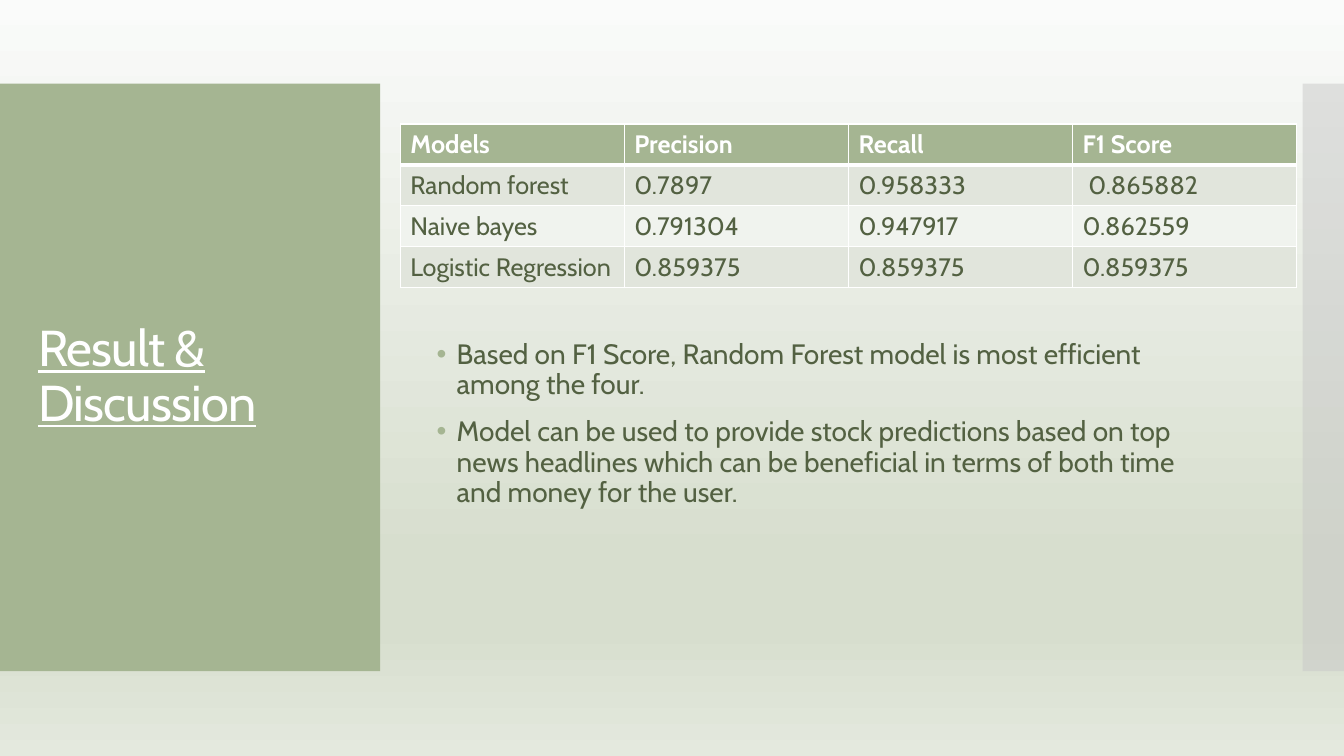
from dataclasses import dataclass
from pptx import Presentation
from pptx.dml.color import RGBColor
from pptx.enum.shapes import MSO_SHAPE
from pptx.enum.text import MSO_ANCHOR, MSO_AUTO_SIZE, PP_ALIGN
from pptx.oxml import parse_xml
from pptx.oxml.ns import nsdecls, qn
from pptx.util import Inches, Pt
from lxml.etree import SubElement


@dataclass(frozen=True)
class Theme:
    font: str = "Cabin"
    green: str = "A5B592"
    gray: str = "C8C8C8"
    white: str = "FFFFFF"
    ink: str = "536142"
    bands: tuple = ("E1E5DC", "F0F3EE")
    backdrop: tuple = ((0, "FAFBFA"), (74, "D7DECE"), (83, "D7DECE"), (100, "E4E9DE"))
    title_size: int = 36
    body_size: int = 20
    table_size: int = 18


THEME = Theme()

SCORES = [
    ("Models", "Precision", "Recall", "F1 Score"),
    ("Random forest", "0.7897", "0.958333", " 0.865882"),
    ("Naive bayes", "0.791304", "0.947917", "0.862559"),
    ("Logistic Regression", "0.859375", "0.859375", "0.859375"),
]

FINDINGS = [
    "Based on F1 Score, Random Forest model is most efficient among the four.",
    "Model can be used to provide stock predictions based on top news headlines "
    "which can be beneficial in terms of both time and money for the user.",
]


def paint_background(page):
    stops = "".join(
        f'<a:gs pos="{percent * 1000}"><a:srgbClr val="{color}"/></a:gs>'
        for percent, color in THEME.backdrop
    )
    page.element.cSld.insert(0, parse_xml(
        f'<p:bg {nsdecls("p", "a")}><p:bgPr><a:gradFill rotWithShape="1">'
        f'<a:gsLst>{stops}</a:gsLst><a:lin ang="5400000" scaled="0"/></a:gradFill>'
        '<a:effectLst/></p:bgPr></p:bg>'
    ))


def place(box, left, top, width, height):
    box.left, box.top = Inches(left), Inches(top)
    box.width, box.height = Inches(width), Inches(height)


def add_panel(page, left, width, color, opacity=100):
    panel = page.shapes.add_shape(
        MSO_SHAPE.RECTANGLE, Inches(left), Inches(0.83), Inches(width), Inches(5.83)
    )
    panel.shadow.inherit = False
    panel.fill.solid()
    panel.fill.fore_color.rgb = RGBColor.from_string(color)
    panel.line.fill.background()
    if opacity < 100:
        tint = panel.element.spPr.find(f'{qn("a:solidFill")}/{qn("a:srgbClr")}')
        SubElement(tint, qn("a:alpha"), val=str(opacity * 1000))
    page.shapes.element.insert(2, panel.element)


def add_span(para, text, size, color, bold=False, underline=False):
    span = para.add_run()
    span.text = text
    span.font.name = THEME.font
    span.font.size = Pt(size)
    span.font.color.rgb = RGBColor.from_string(color)
    span.font.bold = bold
    span.font.underline = underline
    return span


def prepare_frame(box):
    frame = box.text_frame
    frame.word_wrap = True
    frame.auto_size = MSO_AUTO_SIZE.NONE
    frame.vertical_anchor = MSO_ANCHOR.MIDDLE
    return frame


def fill_title(box, text):
    place(box, 0.28, 1.23, 3.22, 5.03)
    para = prepare_frame(box).paragraphs[0]
    para.alignment = PP_ALIGN.LEFT
    para.line_spacing = 0.9
    span = add_span(para, text, THEME.title_size, THEME.white, underline=True)
    span.font._element.set("spc", "-60")


def add_bullet(para):
    props = para._p.get_or_add_pPr()
    indent = Inches(0.2)
    props.set("marL", str(indent))
    props.set("indent", str(-indent))
    SubElement(SubElement(props, qn("a:buClr")), qn("a:srgbClr"), val=THEME.green)
    SubElement(props, qn("a:buFont"), typeface="Arial")
    SubElement(props, qn("a:buChar"), char="•")


def fill_findings(box, findings):
    place(box, 4.23, 0.94, 8, 5.6)
    frame = prepare_frame(box)
    frame.margin_top = Inches(0.99)
    for index, text in enumerate(findings):
        para = frame.add_paragraph() if index else frame.paragraphs[0]
        para.line_spacing = 0.9
        para.space_before = Pt(12)
        add_bullet(para)
        add_span(para, text, THEME.body_size, THEME.ink)


def set_borders(cell, **widths):
    props = cell._tc.get_or_add_tcPr()
    for index, (side, width) in enumerate(widths.items()):
        props.insert(index, parse_xml(
            f'<a:ln{side} {nsdecls("a")} w="{Pt(width)}"><a:solidFill>'
            f'<a:srgbClr val="{THEME.white}"/></a:solidFill></a:ln{side}>'
        ))


def add_score_table(page, rows):
    table = page.shapes.add_table(
        len(rows), len(rows[0]), Inches(3.97), Inches(1.23), Inches(8.89), Inches(1.62)
    ).table
    for row_index, values in enumerate(rows):
        header = row_index == 0
        fill = THEME.green if header else THEME.bands[(row_index - 1) % 2]
        color = THEME.white if header else THEME.ink
        for column_index, text in enumerate(values):
            cell = table.cell(row_index, column_index)
            cell.fill.solid()
            cell.fill.fore_color.rgb = RGBColor.from_string(fill)
            add_span(cell.text_frame.paragraphs[0], text, THEME.table_size, color, bold=header)
            set_borders(cell, L=1, R=1, T=3 if row_index == 1 else 1, B=3 if header else 1)


def main():
    deck = Presentation()
    deck.slide_width, deck.slide_height = Inches(13.33), Inches(7.5)
    page = deck.slides.add_slide(deck.slide_layouts[1])
    paint_background(page)
    add_panel(page, 12.92, 0.41, THEME.gray, opacity=50)
    add_panel(page, 0, 3.77, THEME.green)
    fill_title(page.shapes.title, "Result & Discussion")
    fill_findings(page.placeholders[1], FINDINGS)
    add_score_table(page, SCORES)
    deck.save("out.pptx")


main()
